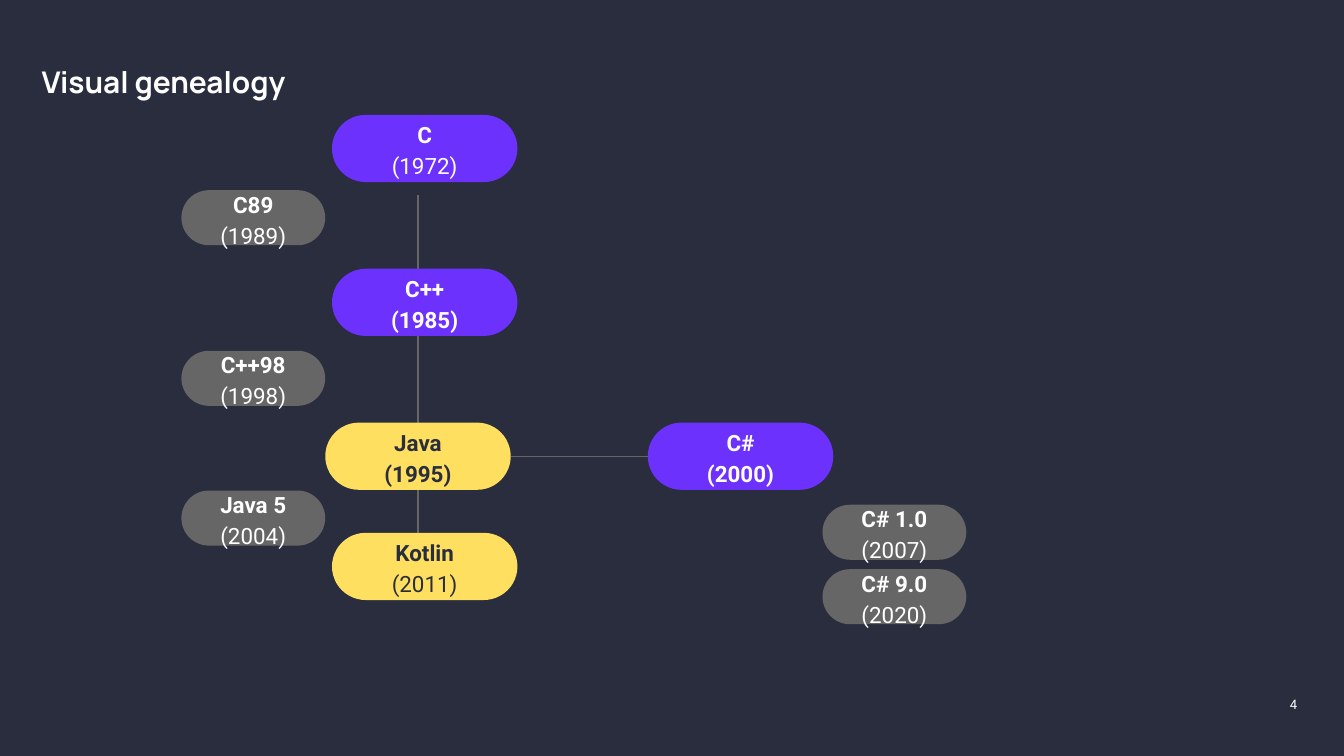
from typing import NamedTuple

from lxml import etree
from pptx import Presentation
from pptx.dml.color import RGBColor
from pptx.enum.shapes import MSO_CONNECTOR as Conn, MSO_SHAPE as Shape
from pptx.enum.text import MSO_ANCHOR as Anchor, MSO_AUTO_SIZE as AutoSize, PP_ALIGN as Align
from pptx.oxml.ns import qn
from pptx.util import Emu, Pt

PX = 4572  # 200 px to the inch
NAVY, WHITE, GREY = "292D3E", "FFFFFF", "666666"
PURPLE, YELLOW = "6D31FD", "FFDF5F"
LANGUAGE_SIZE, VERSION_SIZE = (276, 100), (214, 82)
TRUNK_X, VERSION_X = 494, 270


class Pill(NamedTuple):
    name: str
    year: int
    x: int
    y: int
    fill: str = GREY
    size: tuple[int, int] = VERSION_SIZE
    bold_year: bool = False


def px(n: int) -> Emu:
    return Emu(n * PX)


def rgb(color: str) -> RGBColor:
    return RGBColor.from_string(color)


def write(tf, text: str, *, size: int = 12, font: str = "Roboto", color: str = WHITE,
          bold: bool = False, align=Align.LEFT, spacing: float = 1.0, new: bool = False):
    """Put text in the first paragraph, or in a new one, and return its run."""
    p = tf.add_paragraph() if new else tf.paragraphs[0]
    p.alignment, p.line_spacing = align, spacing
    r = p.add_run()
    r.text = text
    r.font.size, r.font.name, r.font.bold = Pt(size), font, bold
    r.font.color.rgb = rgb(color)
    return r


def set_margins(tf, left: int, top: int, right: int, bottom: int) -> None:
    tf.margin_left, tf.margin_top = px(left), px(top)
    tf.margin_right, tf.margin_bottom = px(right), px(bottom)


def add_line(s, x1: int, y1: int, x2: int, y2: int):
    line = s.shapes.add_connector(Conn.STRAIGHT, px(x1), px(y1), px(x2), px(y2))
    line.line.color.rgb = rgb(GREY)
    line.line.width = Pt(0.75)
    etree.SubElement(line._element.spPr, qn("a:effectLst"))
    return line


def add_pill(s, pill: Pill):
    sp = s.shapes.add_shape(Shape.ROUNDED_RECTANGLE, px(pill.x), px(pill.y), *map(px, pill.size))
    sp.adjustments[0] = 0.5
    sp.shadow.inherit = False
    sp.fill.solid()
    sp.fill.fore_color.rgb = rgb(pill.fill)
    sp.line.fill.background()
    tf = sp.text_frame
    tf.word_wrap, tf.vertical_anchor = True, Anchor.MIDDLE
    set_margins(tf, 20, 20, 20, 20)
    style = dict(color=NAVY if pill.fill == YELLOW else WHITE, align=Align.CENTER, spacing=1.15)
    write(tf, pill.name, bold=True, **style)
    write(tf, f"({pill.year})", bold=pill.bold_year, new=True, **style)
    return sp


PILLS = [
    # Languages
    Pill("C", 1972, TRUNK_X, 171, PURPLE, LANGUAGE_SIZE),
    Pill("C++", 1985, TRUNK_X, 400, PURPLE, LANGUAGE_SIZE, True),
    Pill("Kotlin", 2011, TRUNK_X, 793, YELLOW, LANGUAGE_SIZE),
    Pill("C#", 2000, 964, 629, PURPLE, LANGUAGE_SIZE, True),
    Pill("Java", 1995, 484, 629, YELLOW, LANGUAGE_SIZE, True),
    # Versions
    Pill("C++98", 1998, VERSION_X, 522),
    Pill("C89", 1989, VERSION_X, 283),
    Pill("Java 5", 2004, VERSION_X, 730),
    Pill("C# 1.0", 2007, 1224, 751),
    Pill("C# 9.0", 2020, 1224, 847),
]


def main() -> None:
    prs = Presentation()
    prs.slide_width, prs.slide_height = px(2000), px(1125)
    s = prs.slides.add_slide(prs.slide_layouts[5])
    s.background.fill.solid()
    s.background.fill.fore_color.rgb = rgb(NAVY)

    # Title
    title = s.shapes.title
    title.left, title.top, title.width, title.height = map(px, (62, 95, 958, 94))
    tf = title.text_frame
    tf.vertical_anchor, tf.auto_size = Anchor.TOP, AutoSize.NONE
    set_margins(tf, 0, 0, 20, 0)
    write(tf, "Visual genealogy", size=16, font="Manrope", bold=True)

    # Family tree: the trunk runs behind the pills
    add_line(s, 622, 290, 622, 793)
    pills = {pill.name: add_pill(s, pill) for pill in PILLS}
    branch = add_line(s, 760, 679, 964, 679)
    branch.begin_connect(pills["Java"], 3)
    branch.end_connect(pills["C#"], 1)

    # Page number
    tf = s.shapes.add_textbox(*map(px, (1470, 1025, 480, 63))).text_frame
    tf.word_wrap = True
    set_margins(tf, 20, 20, 20, 20)
    write(tf, "4", size=7, align=Align.RIGHT)

    prs.save("out.pptx")


if __name__ == "__main__":
    main()
